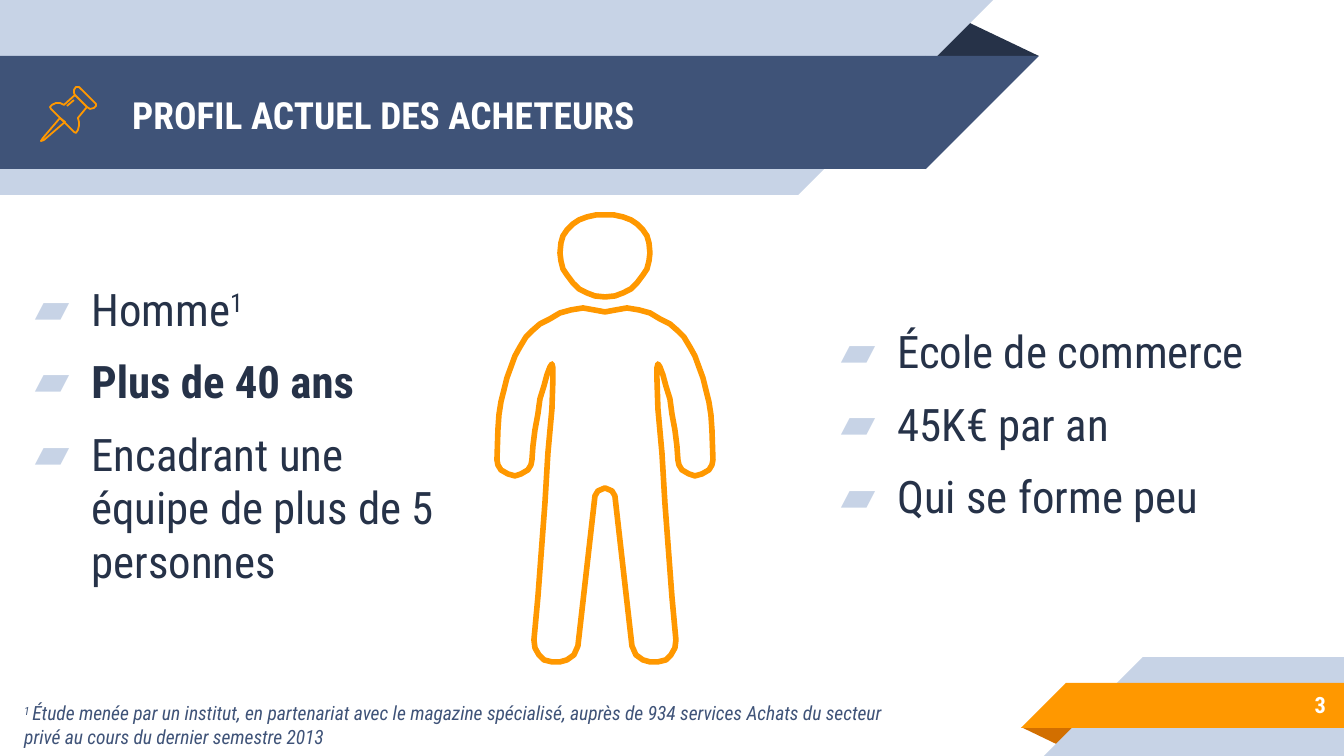
from lxml import etree
from pptx import Presentation
from pptx import util as u
from pptx.dml.color import RGBColor
from pptx.enum import shapes, text
from pptx.oxml import ns

EMU_PER_PX = 914400 / 134.4
FONT = "Roboto Condensed"
COLOURS = {
    "pale": "C7D3E6",
    "blue": "3F5378",
    "ink": "263248",
    "orange": "FF9800",
    "rust": "D26F00",
    "white": "FFFFFF",
}
KIND = shapes.MSO_SHAPE

PIN_NEEDLE = [(60, 118), (43, 138), (41, 141), (44, 140), (65, 122)]
PIN_CAP = [(75, 95), (87, 107), (90, 109), (94, 108), (96, 106), (96, 104),
           (79, 87), (76, 87), (74, 90), (74, 93)]
PIN_BODY = [(75, 95), (64, 105), (60, 103), (56, 103), (52, 105), (50, 107),
            (51, 109), (74, 132), (76, 133), (78, 130), (79, 126), (79, 122),
            (78, 118), (87, 107)]
PIN_SHINE = [(67, 106), (74, 100)]

# Left halves, from the top of the middle axis to its bottom
AXIS = 605
HALF_HEAD = [(605, 215), (596, 215), (587, 217), (579, 220), (573, 224),
             (567, 230), (563, 236), (561, 243), (560, 253), (561, 261),
             (563, 269), (567, 275), (573, 283), (579, 289), (587, 293),
             (595, 296), (605, 297)]
HALF_BODY = [(605, 312), (594, 310), (583, 308), (571, 310), (560, 313),
             (550, 319), (540, 324), (532, 331), (526, 337), (520, 347),
             (515, 356), (511, 367), (507, 378), (504, 390), (501, 402),
             (499, 415), (498, 430), (497, 460), (498, 465), (501, 470),
             (508, 474), (515, 476), (521, 474), (528, 470), (531, 465),
             (532, 460), (533, 446), (535, 430), (538, 414), (540, 399),
             (544, 386), (547, 375), (550, 367), (552, 364), (553, 368),
             (553, 378), (552, 409), (548, 453), (545, 503), (538, 597),
             (534, 640), (535, 648), (539, 655), (544, 660), (552, 662),
             (560, 662), (567, 660), (574, 655), (578, 646), (595, 496),
             (598, 491), (605, 488)]


def px(length):
    return u.Emu(round(length * EMU_PER_PX))


def colour(name):
    return RGBColor.from_string(COLOURS[name])


def add_block(page, kind, place, fill, rotation=0, flip=False):
    block = page.shapes.add_shape(kind, *map(px, place))
    block.shadow.inherit = False
    block.fill.solid()
    block.fill.fore_color.rgb = colour(fill)
    block.line.fill.background()
    block.rotation = rotation
    if flip:
        block._element.spPr.xfrm.set("flipH", "1")
    return block


def add_fold(page, place, fill, rotation=0):
    fold = add_block(page, KIND.ISOSCELES_TRIANGLE, place, fill, rotation)
    fold.adjustments[0] = 0.32


def add_ribbon(page, place, fill, points_right):
    """Add a bar with a 45 degree tip beyond its right or left end."""
    left, top, width, height = place
    tip = left + width if points_right else left - height
    rotation = 180 if points_right else 0
    add_block(page, KIND.RECTANGLE, place, fill)
    add_block(page, KIND.RIGHT_TRIANGLE, (tip, top, height, height), fill,
              rotation, flip=True)


def add_outline(page, points, weight, closed=True):
    builder = page.shapes.build_freeform(*points[0], scale=EMU_PER_PX)
    builder.add_line_segments(points[1:], close=closed)
    outline = builder.convert_to_shape()
    outline.shadow.inherit = False
    outline.fill.background()
    outline.line.color.rgb = colour("orange")
    outline.line.width = u.Pt(weight)


def mirrored(half):
    """Close a left half with its reflection across the axis."""
    return half + [(2 * AXIS - x, y) for x, y in half[-2:0:-1]]


def add_text_box(page, place, anchor=text.MSO_ANCHOR.MIDDLE):
    box = page.shapes.add_textbox(*map(px, place))
    frame = box.text_frame
    frame.word_wrap = True
    frame.vertical_anchor = anchor
    frame.margin_left = frame.margin_right = u.Inches(0.1)
    frame.margin_top = frame.margin_bottom = u.Inches(0.1)
    return frame


def add_span(para, words, size, fill, bold=False, italic=False, raised=False):
    span = para.add_run()
    span.text = words
    span.font.name = FONT
    span.font.size = u.Pt(size)
    span.font.bold = bold
    span.font.italic = italic
    span.font.color.rgb = colour(fill)
    if raised:
        span.font._element.set("baseline", "30000")


def set_bullet(para):
    props = para._p.get_or_add_pPr()
    props.set("marL", str(u.Inches(0.5)))
    props.set("indent", str(-u.Inches(0.42)))
    tint = etree.SubElement(props, ns.qn("a:buClr"))
    etree.SubElement(tint, ns.qn("a:srgbClr"), val=COLOURS["pale"])
    etree.SubElement(props, ns.qn("a:buFont"), typeface=FONT)
    etree.SubElement(props, ns.qn("a:buChar"), char="▰")


def add_bullets(page, place, items):
    """Add one bullet per item; an item is a list of (words, style) spans."""
    frame = add_text_box(page, place)
    for number, item in enumerate(items):
        para = frame.add_paragraph() if number else frame.paragraphs[0]
        para.space_before = u.Pt(10 if number else 0)
        set_bullet(para)
        for words, style in item:
            add_span(para, words, 24, "ink", **style)


def add_ribbons(page):
    add_fold(page, (1021, 727, 58, 19), "rust", 180)
    add_ribbon(page, (1143, 657, 201, 99), "pale", False)
    add_ribbon(page, (1066, 683, 278, 45), "orange", False)
    add_fold(page, (925, 19, 114, 37), "ink")
    add_ribbon(page, (0, 0, 798, 195), "pale", True)
    add_ribbon(page, (0, 56, 926, 113), "blue", True)


def add_icons(page):
    for points in (PIN_NEEDLE, PIN_CAP):
        add_outline(page, points, 0.96)
    for points in (PIN_BODY, PIN_SHINE):
        add_outline(page, points, 0.96, closed=False)
    for half in (HALF_BODY, HALF_HEAD):
        add_outline(page, mirrored(half), 3)


def add_texts(page):
    title = add_text_box(page, (119, 58, 808, 113)).paragraphs[0]
    add_span(title, "PROFIL ACTUEL DES ACHETEURS", 20, "white", bold=True)

    add_bullets(page, (11, 253, 468, 363), [
        [("Homme", {}), ("1", {"raised": True})],
        [("Plus de 40 ans", {"bold": True})],
        [("Encadrant une équipe de plus de 5 personnes", {})],
    ])
    add_bullets(page, (817, 242, 468, 363), [
        [("École de commerce", {})],
        [("45K€ par an", {})],
        [("Qui se forme peu", {})],
    ])

    number = add_text_box(page, (1120, 681, 219, 47)).paragraphs[0]
    number.alignment = text.PP_ALIGN.RIGHT
    add_span(number, "3", 12, "white", bold=True)

    note = add_text_box(page, (11, 688, 902, 68), text.MSO_ANCHOR.TOP).paragraphs[0]
    add_span(note, "1 ", 10.5, "blue", italic=True, raised=True)
    add_span(note, "Étude menée par un institut, en partenariat avec le magazine "
             "spécialisé, auprès de 934 services Achats du secteur privé "
             "au cours du dernier semestre 2013", 10.5, "blue", italic=True)


def main():
    deck = Presentation()
    deck.slide_width, deck.slide_height = px(1344), px(756)
    page = deck.slides.add_slide(deck.slide_layouts[6])
    add_ribbons(page)
    add_icons(page)
    add_texts(page)
    deck.save("out.pptx")


if __name__ == "__main__":
    main()
